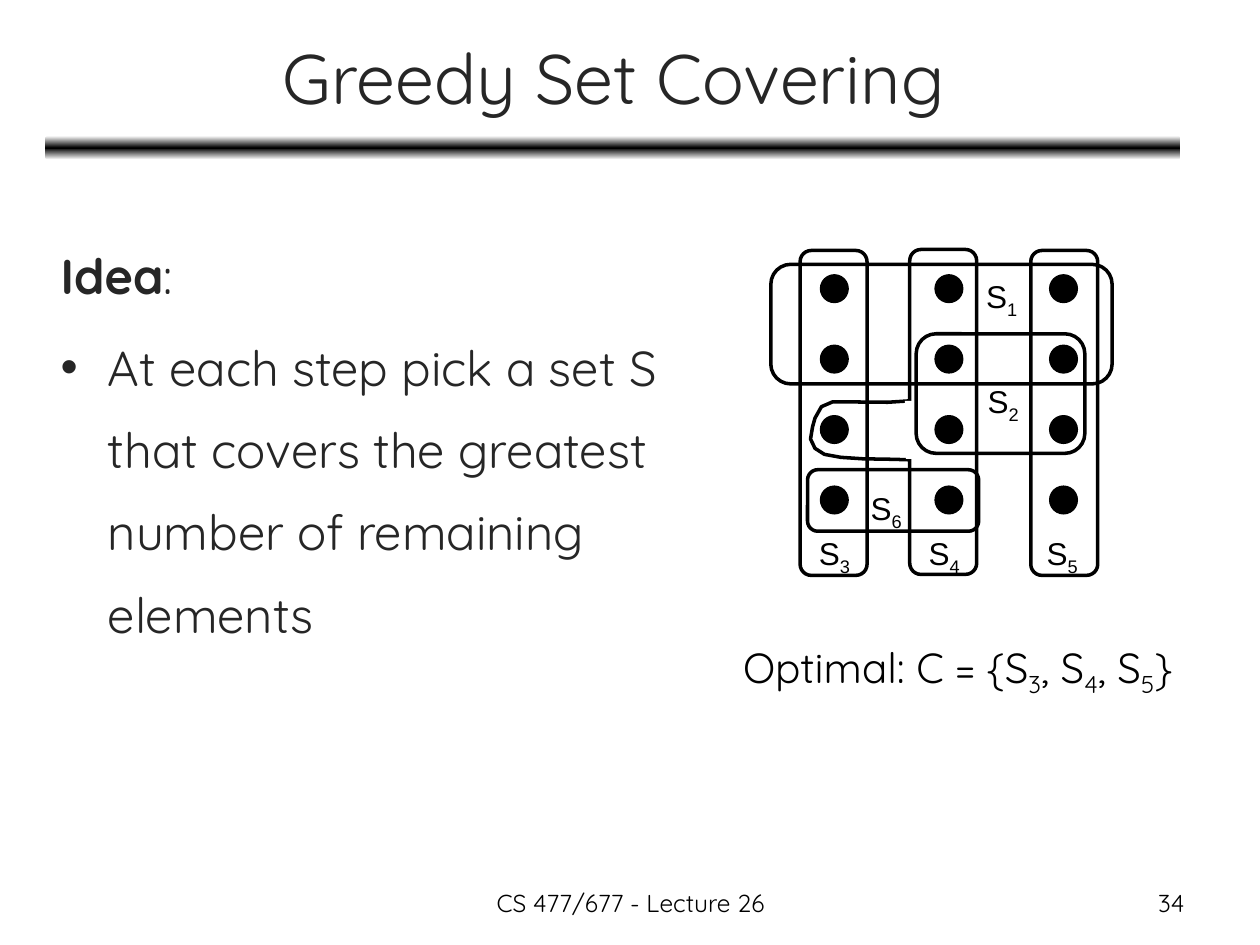
from copy import deepcopy

from pptx import Presentation
from pptx import util as u
from pptx.dml.color import RGBColor
from pptx.enum import shapes, text
from pptx.oxml import ns, xmlchemy

COLORS = {"ink": "000000", "body": "262626", "paper": "FFFFFF"}
FONT, LABEL_FONT = "Quicksand", "Arial"


def color(name):
    return RGBColor.from_string(COLORS[name])


class SlideBuilder:
    def __init__(self, slide):
        self.slide = slide

    def place(self, shape, left, top, width, height):
        shape.left, shape.top = u.Cm(left), u.Cm(top)
        shape.width, shape.height = u.Cm(width), u.Cm(height)

    def style(self, run, size, font=FONT, ink="ink", bold=False):
        run.font.size, run.font.name = u.Pt(size), font
        run.font.bold, run.font.color.rgb = bold, color(ink)

    def title(self, wording, box):
        shape = self.slide.shapes.title
        self.place(shape, *box)
        frame = shape.text_frame
        frame.text = wording
        frame.auto_size = text.MSO_AUTO_SIZE.NONE
        frame.vertical_anchor = text.MSO_ANCHOR.MIDDLE
        frame.paragraphs[0].alignment = text.PP_ALIGN.CENTER
        self.style(frame.paragraphs[0].runs[0], 40, ink="body")

    def body(self, heading, bullet, box):
        shape = self.slide.placeholders[1]
        self.place(shape, *box)
        frame = shape.text_frame
        frame.auto_size = text.MSO_AUTO_SIZE.NONE
        first, second = frame.paragraphs[0], frame.add_paragraph()
        for wording in (heading, ":"):
            self.style(first.add_run(), 28, ink="body", bold=wording == heading)
            first.runs[-1].text = wording
        second.text = bullet
        self.style(second.runs[0], 28, ink="body")
        for paragraph, mark, before in ((first, None, 0), (second, "•", 5.6)):
            properties = paragraph._p.get_or_add_pPr()
            properties.set("marL", str(u.Cm(0.95)))
            properties.set("indent", str(u.Cm(-0.95)))
            element = xmlchemy.OxmlElement("a:buChar" if mark else "a:buNone")
            if mark:
                element.set("char", mark)
            properties.append(element)
            paragraph.line_spacing = 1.4
            paragraph.space_before = u.Pt(before)

    def text_box(self, pieces, box, size, font=FONT, align="LEFT", wrap=True):
        shape = self.slide.shapes.add_textbox(*map(u.Cm, box))
        frame = shape.text_frame
        frame.word_wrap = wrap
        paragraph = frame.paragraphs[0]
        paragraph.alignment = text.PP_ALIGN[align]
        for index, piece in enumerate(pieces):
            run = paragraph.add_run()
            run.text = piece
            self.style(run, size, font)
            if index % 2:
                run.font._element.set("baseline", "-25000")

    def set_label(self, number, left, top):
        self.text_box(["S", str(number)], (left, top, 1.17, 1.02), 18, LABEL_FONT, wrap=False)

    def outline(self, shape, width=2):
        shape.shadow.inherit = False
        shape.line.color.rgb = color("ink")
        shape.line.width = u.Pt(width)

    def element_dot(self, left, top):
        dot = self.slide.shapes.add_shape(
            shapes.MSO_SHAPE.OVAL, *map(u.Cm, (left, top, 0.56, 0.56)))
        dot.fill.solid()
        dot.fill.fore_color.rgb = color("ink")
        self.outline(dot, 0.75)

    def subset(self, box):
        shape = self.slide.shapes.add_shape(
            shapes.MSO_SHAPE.ROUNDED_RECTANGLE, *map(u.Cm, box))
        shape.fill.background()
        self.outline(shape)

    def bulge(self, points):
        vertices = [(u.Cm(x), u.Cm(y)) for x, y in points]
        builder = self.slide.shapes.build_freeform(*vertices[0])
        builder.add_line_segments(vertices[1:], close=False)
        shape = builder.convert_to_shape()
        shape.fill.background()
        self.outline(shape)

    def eraser(self, start, end):
        line = self.slide.shapes.add_connector(
            shapes.MSO_CONNECTOR.STRAIGHT, *map(u.Cm, (*start, *end)))
        line.line.color.rgb = color("paper")
        line.line.width = u.Pt(4.5)
        line._element.spPr.append(xmlchemy.OxmlElement("a:effectLst"))

    def divider(self, box):
        bar = self.slide.shapes.add_shape(
            shapes.MSO_SHAPE.ROUNDED_RECTANGLE, *map(u.Cm, box))
        bar.shadow.inherit = False
        bar.line.fill.background()
        bar.fill.gradient()
        bar.fill.gradient_angle = 90
        stops = bar._element.spPr.find(".//" + ns.qn("a:gsLst"))
        stops.insert(1, deepcopy(stops[0]))
        for stop, position, name in zip(
                bar.fill.gradient_stops, (0, 0.5, 1), ("paper", "ink", "paper")):
            stop.position = position
            stop.color.rgb = color(name)


def main():
    presentation = Presentation()
    presentation.slide_width, presentation.slide_height = u.Cm(25.4), u.Cm(19.05)
    slide = presentation.slides.add_slide(presentation.slide_layouts[1])
    builder = SlideBuilder(slide)

    builder.divider((0.91, 2.74, 22.89, 0.48))
    builder.title("Greedy Set Covering", (0.94, 0.28, 22.86, 2.51))
    builder.body(
        "Idea",
        "At each step pick a set S that covers the greatest number of remaining elements",
        (0.97, 4.34, 12.6, 13.13))

    for column in range(3):
        for row in range(4):
            builder.element_dot(16.54 + 2.31 * column, 5.54 + 1.42 * row)

    for box in (
        (16.13, 5.05, 1.35, 6.55),
        (20.78, 5.05, 1.35, 6.55),
        (18.47, 6.73, 3.4, 2.41),
        (16.28, 9.47, 3.45, 1.24),
        (15.54, 5.33, 6.88, 2.41),
        (18.34, 5.03, 1.35, 6.55),
    ):
        builder.subset(box)

    builder.bulge([
        (18.36, 8.08), (17.9, 8.11), (16.79, 8.1), (16.56, 8.2), (16.43, 8.43),
        (16.38, 8.61), (16.34, 8.85), (16.43, 9.04), (16.62, 9.16),
        (16.95, 9.22), (17.4, 9.25), (18.0, 9.26), (18.34, 9.27)])
    builder.eraser((18.32, 8.08), (18.34, 9.25))

    for number, left, top in (
        (1, 19.63, 5.46), (2, 19.66, 7.57), (3, 16.26, 10.64),
        (4, 18.47, 10.64), (5, 20.85, 10.64), (6, 17.3, 9.73),
    ):
        builder.set_label(number, left, top)

    builder.text_box(
        ["Optimal: C = {S", "3", ", S", "4", ", S", "5", "}"],
        (14.73, 12.8, 9.78, 1.27), 24)
    builder.text_box(["34"], (18.21, 17.78, 5.92, 0.89), 14, align="RIGHT")
    builder.text_box(["CS 477/677 - Lecture 26"], (8.69, 17.78, 8.05, 0.89), 14, align="CENTER")

    presentation.save("out.pptx")


if __name__ == "__main__":
    main()
